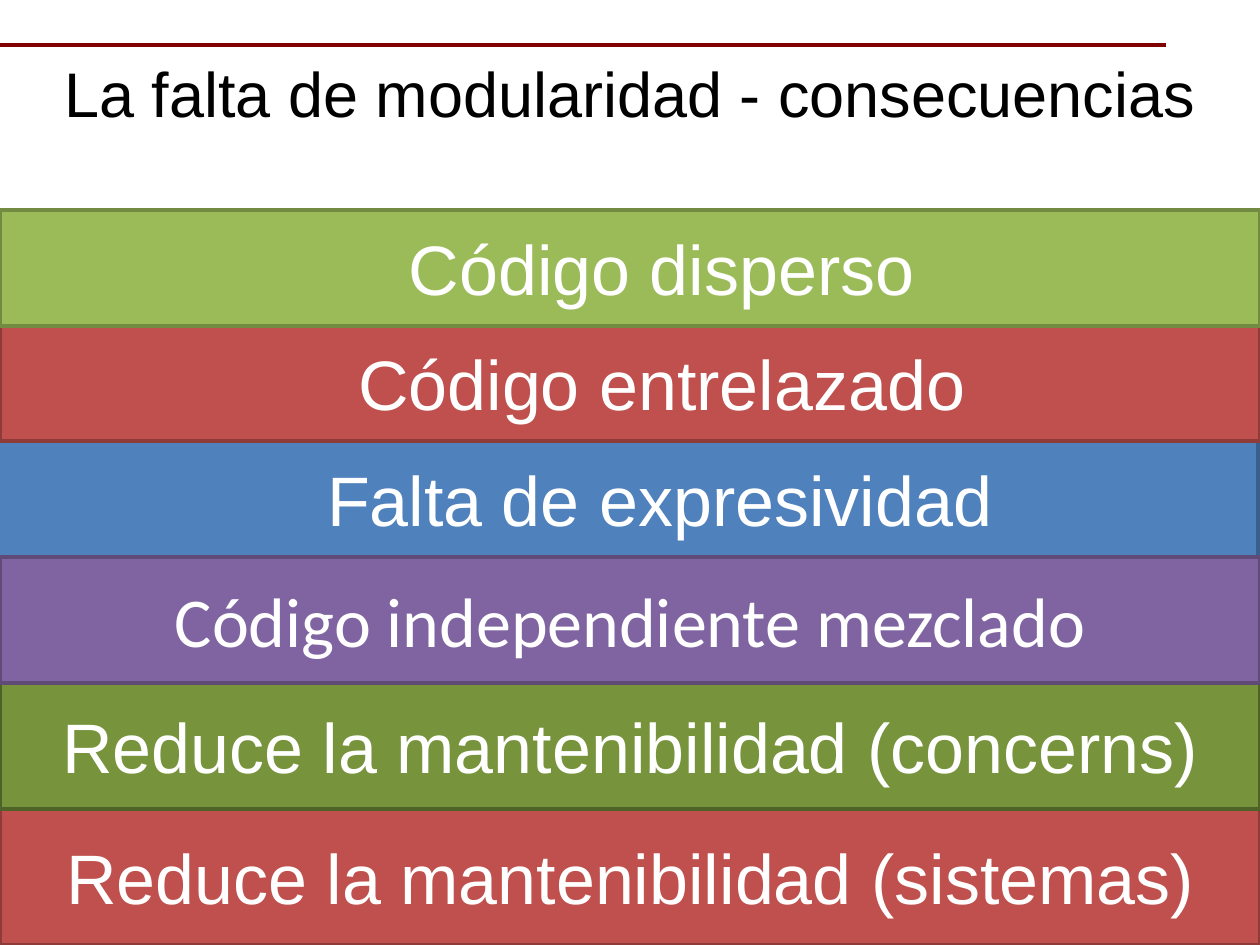
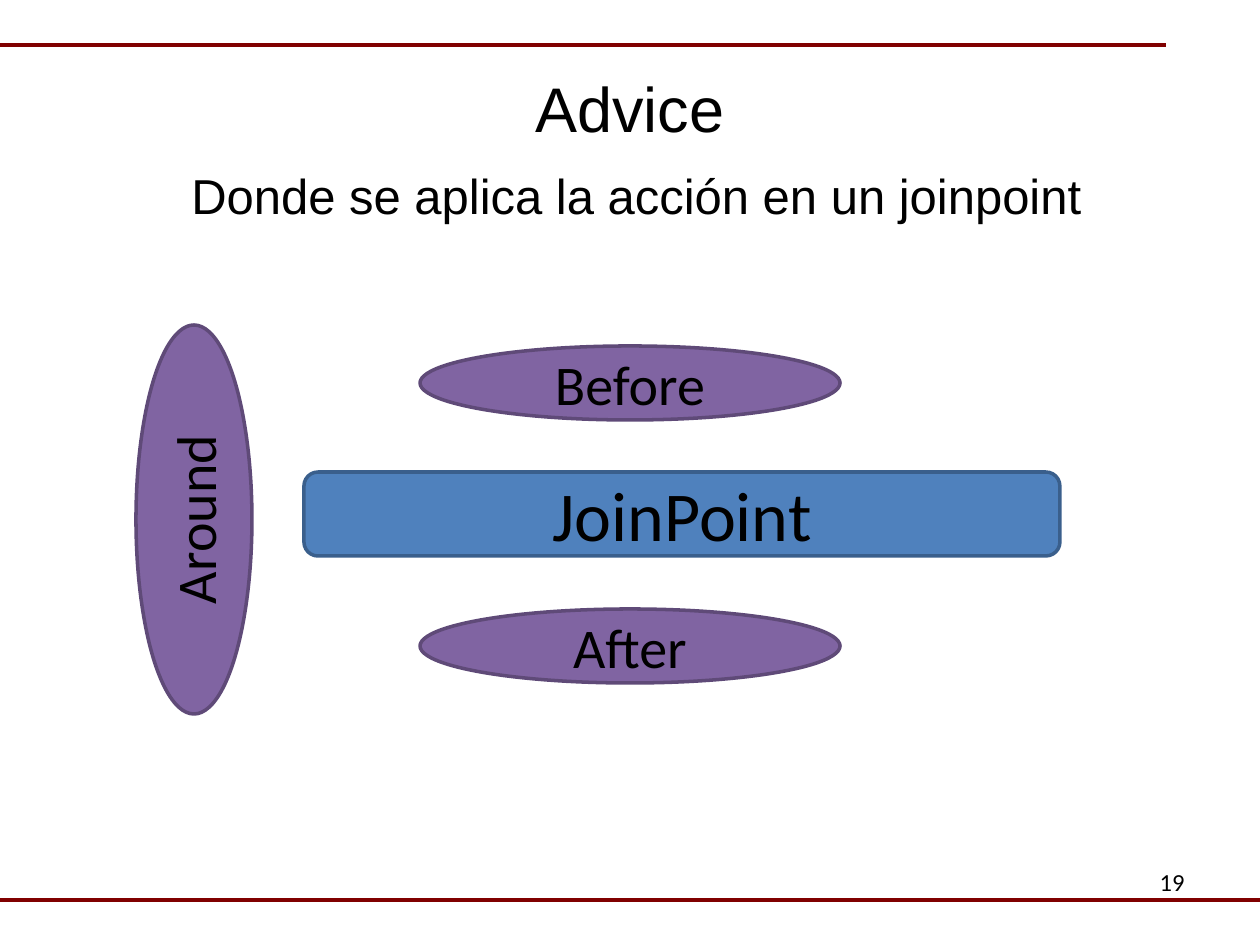
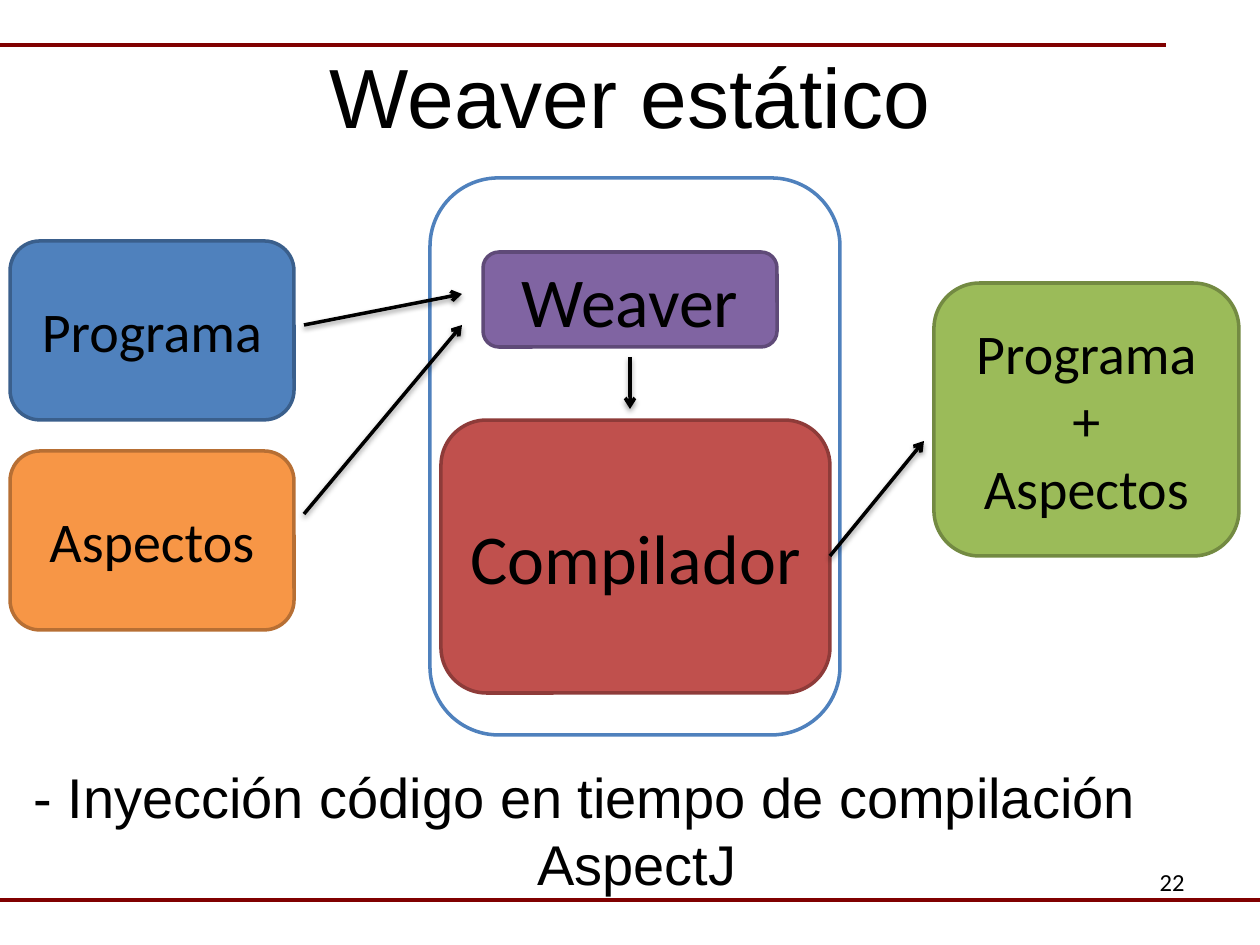
from dataclasses import dataclass

from lxml.etree import SubElement
from pptx import Presentation
from pptx.dml.color import RGBColor
from pptx.enum.shapes import MSO_CONNECTOR, MSO_SHAPE
from pptx.enum.text import MSO_ANCHOR, MSO_AUTO_SIZE, PP_ALIGN
from pptx.oxml.ns import qn
from pptx.util import Pt

PX = 914400 / 126  # EMU in one pixel


@dataclass(frozen=True)
class Theme:
    """Colours (fill and edge pairs for blocks), fonts and sizes of the deck."""
    black = RGBColor(0, 0, 0)
    white = RGBColor(255, 255, 255)
    rule = RGBColor(0x80, 0, 0)
    blue = ("4F81BD", "3A5F8C")
    red = ("C0504D", "8E3B39")
    green = ("9BBB59", "738A42")
    olive = ("77933C", "4F6228")
    purple = ("8064A2", "5F4A78")
    orange = ("F79646", "B76F34")
    frame = ("FFFFFF", "4F81BD")
    heading_font = "Arial"
    block_font = "Calibri"
    title = 36
    big_title = 48
    large = 40
    medium = 32
    subtitle = 28
    number = 14
    line = Pt(2)


theme = Theme()


def write(frame, lines, size, font, colour=theme.black, align=PP_ALIGN.CENTER):
    """Fill a text frame with one paragraph for each line of text."""
    frame.text = "\n".join(lines)
    for para in frame.paragraphs:
        para.alignment = align
        para.font.size = Pt(size)
        para.font.name = font
        para.font.color.rgb = colour


def add_block(page, kind, place, colours, lines=(), size=theme.medium,
              font=theme.block_font, colour=theme.black):
    """Add a filled and outlined shape with centred text."""
    block = page.shapes.add_shape(kind, *[round(n * PX) for n in place])
    block.shadow.inherit = False
    fill, edge = colours
    block.fill.solid()
    block.fill.fore_color.rgb = RGBColor.from_string(fill)
    block.line.color.rgb = RGBColor.from_string(edge)
    block.line.width = theme.line
    if lines:
        write(block.text_frame, lines, size, font, colour)
        block.text_frame.vertical_anchor = MSO_ANCHOR.MIDDLE
    return block


deck = Presentation()
deck.slide_width, deck.slide_height = round(1260 * PX), round(945 * PX)
layout = deck.slide_layouts[5]

# Pages with their titles and page numbers
pages = []
for title, top, height, size, number in [
    ("La falta de modularidad - consecuencias", 48, 90, theme.title, None),
    ("Advice", 63, 90, theme.title, "19"),
    ("Weaver estático", 38, 115, theme.big_title, "22"),
]:
    page = deck.slides.add_slide(layout)
    pages.append(page)
    heading = page.shapes.title
    heading.left, heading.top = 0, round(top * PX)
    heading.width, heading.height = deck.slide_width, round(height * PX)
    write(heading.text_frame, [title], size, theme.heading_font)
    heading.text_frame.vertical_anchor = MSO_ANCHOR.TOP
    heading.text_frame.auto_size = MSO_AUTO_SIZE.NONE
    if number:
        box = page.shapes.add_textbox(*[round(n * PX) for n in (903, 861, 294, 66)])
        box.text_frame.word_wrap = True
        write(box.text_frame, [number], theme.number, theme.block_font,
              align=PP_ALIGN.RIGHT)

consequences, advice, weaver = pages

# The two rules belong to the layout, so they are moved there
for right, height in [(1166, 45), (1260, 900)]:
    rule = consequences.shapes.add_connector(
        MSO_CONNECTOR.STRAIGHT, 0, round(height * PX), round(right * PX), round(height * PX))
    rule.line.color.rgb = theme.rule
    rule.line.width = theme.line
    SubElement(rule.element.spPr, qn("a:effectLst"))
    layout.shapes.element.append(rule.element)

# Consequences: full-width bands, each drawn over the edge of the one before
half_inch = round(63 * PX)
for text, left, top, height, colours, font, indent in [
    ("Falta de expresividad", -2, 441, 116, theme.blue, theme.heading_font, half_inch),
    ("Reduce la mantenibilidad (sistemas)", 0, 809, 136, theme.red, theme.heading_font, 0),
    ("Reduce la mantenibilidad (concerns)", 0, 683, 126, theme.olive, theme.heading_font, 0),
    ("Código independiente mezclado", 0, 557, 126, theme.purple, theme.block_font, 0),
    ("Código entrelazado", 0, 325, 116, theme.red, theme.heading_font, half_inch),
    ("Código disperso", 0, 210, 116, theme.green, theme.heading_font, half_inch),
]:
    band = add_block(consequences, MSO_SHAPE.RECTANGLE, (left, top, 1260, height),
                     colours, [text], theme.large, font, theme.white)
    band.text_frame.paragraphs[0]._p.get_or_add_pPr().set("marL", str(indent))

# Advice: where the action applies around a join point
box = advice.shapes.add_textbox(*[round(n * PX) for n in (179, 159, 927, 72)])
box.text_frame.word_wrap = False
write(box.text_frame, ["Donde se aplica la acción en un joinpoint"],
      theme.subtitle, theme.heading_font, align=PP_ALIGN.LEFT)
add_block(advice, MSO_SHAPE.ROUNDED_RECTANGLE, (304, 472, 756, 84),
          theme.blue, ["JoinPoint"], theme.large)
for text, top in [("Before", 346), ("After", 609)]:
    add_block(advice, MSO_SHAPE.OVAL, (420, top, 420, 74), theme.purple, [text])
around = add_block(advice, MSO_SHAPE.OVAL, (136, 325, 116, 389), theme.purple, ["Around"])
around.text_frame._txBody.bodyPr.set("vert", "vert270")

# Weaver: inputs, compiler frame and result
for place, colours, lines, size in [
    ((10, 241, 284, 179), theme.blue, ["Programa"], theme.medium),
    ((10, 451, 284, 179), theme.orange, ["Aspectos"], theme.medium),
    ((430, 178, 410, 557), theme.frame, [], theme.medium),
    ((483, 252, 294, 95), theme.purple, ["Weaver"], theme.large),
    ((441, 420, 389, 273), theme.red, ["Compilador"], theme.large),
    ((934, 283, 305, 273), theme.green, ["Programa", "+", "Aspectos"], theme.medium),
]:
    add_block(weaver, MSO_SHAPE.ROUNDED_RECTANGLE, place, colours, lines, size)

for ends in [(304, 325, 462, 294), (304, 514, 462, 325),
             (630, 357, 630, 409), (830, 556, 924, 441)]:
    arrow = weaver.shapes.add_connector(
        MSO_CONNECTOR.STRAIGHT, *[round(n * PX) for n in ends])
    arrow.line.color.rgb = theme.black
    arrow.line.width = theme.line
    SubElement(arrow.line._get_or_add_ln(), qn("a:tailEnd"), type="arrow")
    effects = SubElement(arrow.element.spPr, qn("a:effectLst"))
    shadow = SubElement(effects, qn("a:outerShdw"), blurRad="40000", dist="20000",
                        dir="5400000", rotWithShape="0")
    tint = SubElement(shadow, qn("a:srgbClr"), val="000000")
    SubElement(tint, qn("a:alpha"), val="38000")

box = weaver.shapes.add_textbox(*[round(n * PX) for n in (21, 756, 1260, 149)])
box.text_frame.word_wrap = True
write(box.text_frame, ["- Inyección código en tiempo de compilación", "AspectJ"],
      theme.medium, theme.heading_font, align=PP_ALIGN.LEFT)
box.text_frame.paragraphs[1]._p.get_or_add_pPr().set("marL", str(round(504 * PX)))

deck.save("out.pptx")
